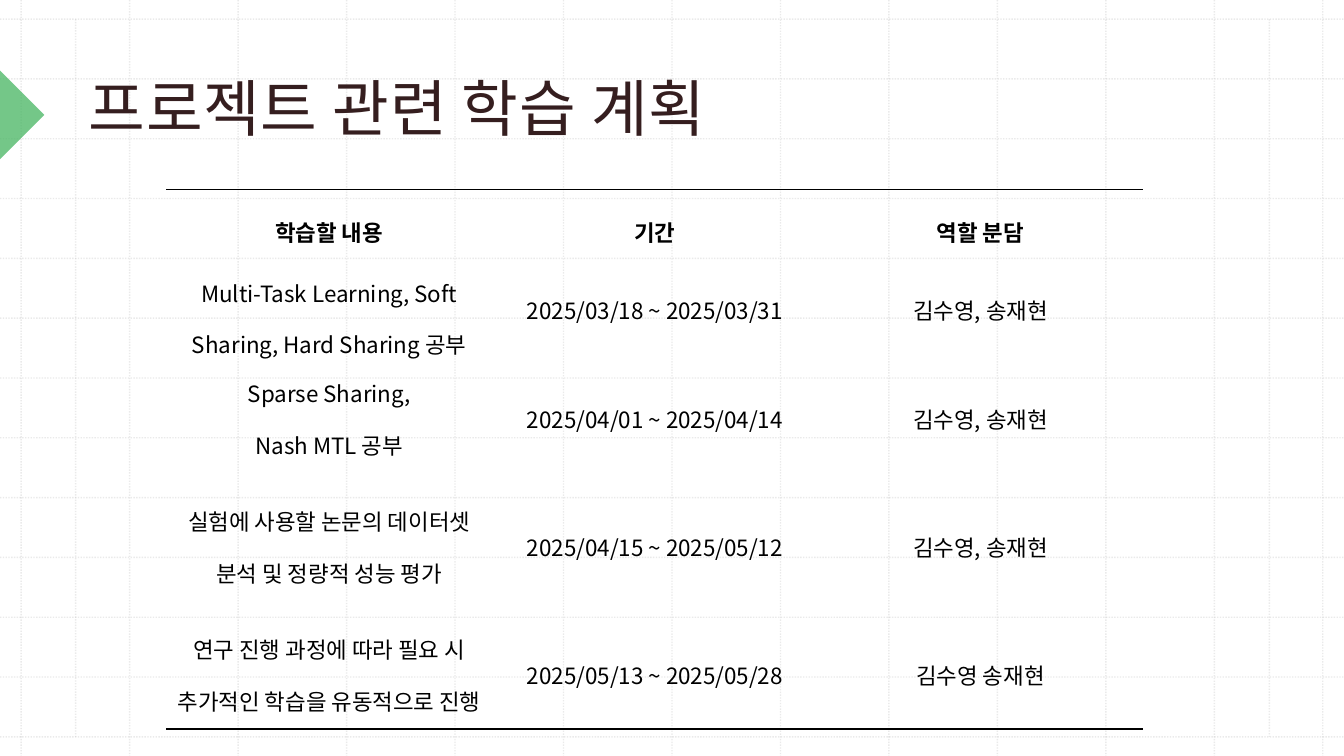
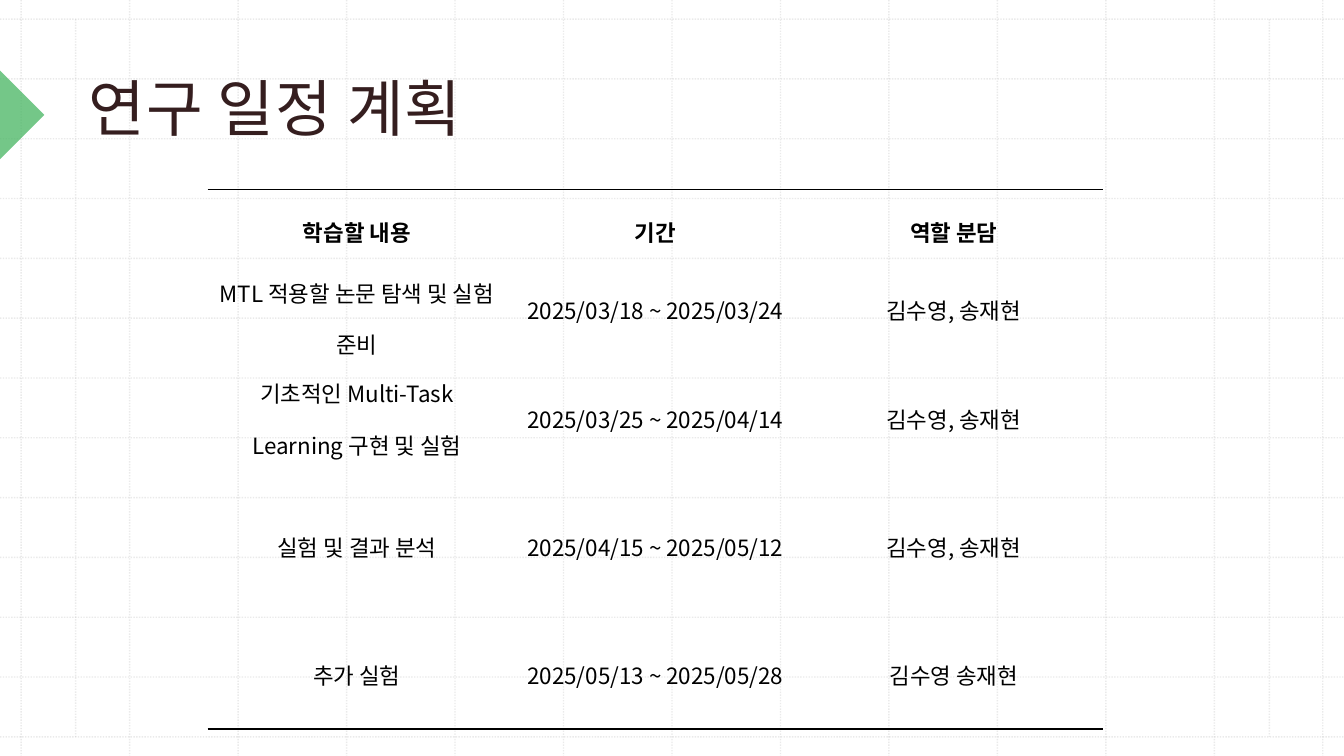
from lxml import etree
from pptx import Presentation
from pptx.dml.color import RGBColor
from pptx.enum.dml import MSO_LINE
from pptx.enum.shapes import MSO_CONNECTOR, MSO_SHAPE
from pptx.enum.text import MSO_ANCHOR, PP_ALIGN
from pptx.oxml.ns import qn
from pptx.util import Inches, Pt

STRAIGHT = MSO_CONNECTOR.STRAIGHT
TRIANGLE = MSO_SHAPE.RIGHT_TRIANGLE
DOTTED = MSO_LINE.ROUND_DOT
MIDDLE = MSO_ANCHOR.MIDDLE
BOTTOM = MSO_ANCHOR.BOTTOM
CENTER = PP_ALIGN.CENTER

FONT = "Noto Sans CJK KR"
COLORS = {
    "background": "FFFFFF",
    "grid": "BCBCBC",
    "accent": "47B662",
    "title": "351E1F",
    "text": "000000",
}
NO_STYLE = "{2D5ABB26-0587-4C30-8999-92F81FD0307C}"

WIDTH, HEIGHT = 13.33, 7.5
GRID_LEFT, GRID_RIGHT = 0.21, 13.12
GRID_TOP, GRID_BOTTOM = 0.19, 7.31
GRID_STEPS = 12
MARGIN_LINES = (0.75, 12.59)

TABLE_TOP = 1.88
ROW_HEIGHTS = (0.65, 0.65, 1.27, 1.27, 1.27)
HEADER = ("학습할 내용", "기간", "역할 분담")

PLANS = [
    {
        "title": "프로젝트 관련 학습 계획",
        "left": 1.65,
        "column": 3.23,
        "rows": [
            ("Multi-Task Learning, Soft Sharing, Hard Sharing 공부",
             "2025/03/18 ~ 2025/03/31", "김수영, 송재현"),
            ("Sparse Sharing,\nNash MTL 공부", "2025/04/01 ~ 2025/04/14", "김수영, 송재현"),
            ("실험에 사용할 논문의 데이터셋 분석 및 정량적 성능 평가",
             "2025/04/15 ~ 2025/05/12", "김수영, 송재현"),
            ("연구 진행 과정에 따라 필요 시 추가적인 학습을 유동적으로 진행",
             "2025/05/13 ~ 2025/05/28", "김수영 송재현"),
        ],
    },
    {
        "title": "연구 일정 계획",
        "left": 2.06,
        "column": 2.96,
        "rows": [
            ("MTL 적용할 논문 탐색 및 실험 준비", "2025/03/18 ~ 2025/03/24", "김수영, 송재현"),
            ("기초적인 Multi-Task Learning 구현 및 실험",
             "2025/03/25 ~ 2025/04/14", "김수영, 송재현"),
            ("실험 및 결과 분석", "2025/04/15 ~ 2025/05/12", "김수영, 송재현"),
            ("추가 실험", "2025/05/13 ~ 2025/05/28", "김수영 송재현"),
        ],
    },
]


def rgb(name):
    return RGBColor.from_string(COLORS[name])


def set_opacity(element, percent):
    color = element.find(".//" + qn("a:srgbClr"))
    etree.SubElement(color, qn("a:alpha"), val=str(percent * 1000))


def style_paragraph(paragraph, size, color, spacing, bold=False):
    paragraph.line_spacing = spacing
    font = paragraph.font
    font.size = Pt(size)
    font.bold = bold
    font.color.rgb = rgb(color)
    font.name = FONT
    etree.SubElement(font._rPr, qn("a:ea"), typeface=FONT)


def add_grid_line(slide, x1, y1, x2, y2):
    connector = slide.shapes.add_connector(
        STRAIGHT, Inches(x1), Inches(y1), Inches(x2), Inches(y2))
    connector.line.color.rgb = rgb("grid")
    connector.line.width = Pt(1)
    connector.line.dash_style = DOTTED
    properties = connector._element.spPr
    set_opacity(properties, 30)
    etree.SubElement(properties, qn("a:effectLst"))


def add_backdrop(slide):
    slide.background.fill.solid()
    slide.background.fill.fore_color.rgb = rgb("background")
    for step in range(GRID_STEPS + 1):
        x = GRID_LEFT + step * (GRID_RIGHT - GRID_LEFT) / GRID_STEPS
        y = GRID_TOP + step * (GRID_BOTTOM - GRID_TOP) / GRID_STEPS
        add_grid_line(slide, x, 0, x, HEIGHT)
        add_grid_line(slide, 0, y, WIDTH, y)
    for x in MARGIN_LINES:
        add_grid_line(slide, x, GRID_TOP, x, GRID_BOTTOM)
    for _ in range(2):
        marker = slide.shapes.add_shape(
            TRIANGLE, Inches(-0.31), Inches(0.83), Inches(0.62), Inches(0.62))
        marker.rotation = 225
        marker.shadow.inherit = False
        marker.fill.solid()
        marker.fill.fore_color.rgb = rgb("accent")
        set_opacity(marker._element.spPr, 50)
        marker.line.fill.background()


def add_title(slide, text):
    box = slide.shapes.add_textbox(Inches(0.76), 0, Inches(11.48), Inches(1.53))
    frame = box.text_frame
    frame.word_wrap = True
    frame.vertical_anchor = BOTTOM
    frame.margin_left = frame.margin_right = frame.margin_top = Inches(0.12)
    frame.margin_bottom = Inches(0.1)
    frame.text = text
    paragraph = frame.paragraphs[0]
    style_paragraph(paragraph, 44, "title", 1.14)
    paragraph.font._rPr.set("spc", "50")


def add_border(cell, side):
    border = etree.Element(qn("a:" + side), w=str(Pt(1)))
    fill = etree.SubElement(border, qn("a:solidFill"))
    etree.SubElement(fill, qn("a:srgbClr"), val=COLORS["text"])
    cell._tc.get_or_add_tcPr().insert(0, border)


def fill_cell(cell, text, bold):
    cell.fill.background()
    cell.vertical_anchor = MIDDLE
    cell.margin_left = cell.margin_right = Inches(0.07)
    cell.margin_top = cell.margin_bottom = Inches(0.02)
    cell.text = text
    for paragraph in cell.text_frame.paragraphs:
        paragraph.alignment = CENTER
        style_paragraph(paragraph, 16, "text", 1.6, bold)


def add_plan_table(slide, plan):
    rows = [HEADER] + plan["rows"]
    table = slide.shapes.add_table(
        len(rows), len(HEADER), Inches(plan["left"]), Inches(TABLE_TOP),
        Inches(plan["column"] * len(HEADER)), Inches(sum(ROW_HEIGHTS))).table
    table.first_row = table.horz_banding = False
    table._tbl.tblPr.find(qn("a:tableStyleId")).text = NO_STYLE
    for column in table.columns:
        column.width = Inches(plan["column"])
    for row_index, (texts, height) in enumerate(zip(rows, ROW_HEIGHTS)):
        table.rows[row_index].height = Inches(height)
        for column_index, text in enumerate(texts):
            cell = table.cell(row_index, column_index)
            fill_cell(cell, text, row_index == 0)
            if row_index == 0:
                add_border(cell, "lnT")
            if row_index == len(rows) - 1:
                add_border(cell, "lnB")


def main():
    presentation = Presentation()
    presentation.slide_width = Inches(WIDTH)
    presentation.slide_height = Inches(HEIGHT)
    for plan in PLANS:
        slide = presentation.slides.add_slide(presentation.slide_layouts[6])
        add_backdrop(slide)
        add_title(slide, plan["title"])
        add_plan_table(slide, plan)
    presentation.save("out.pptx")


if __name__ == "__main__":
    main()
